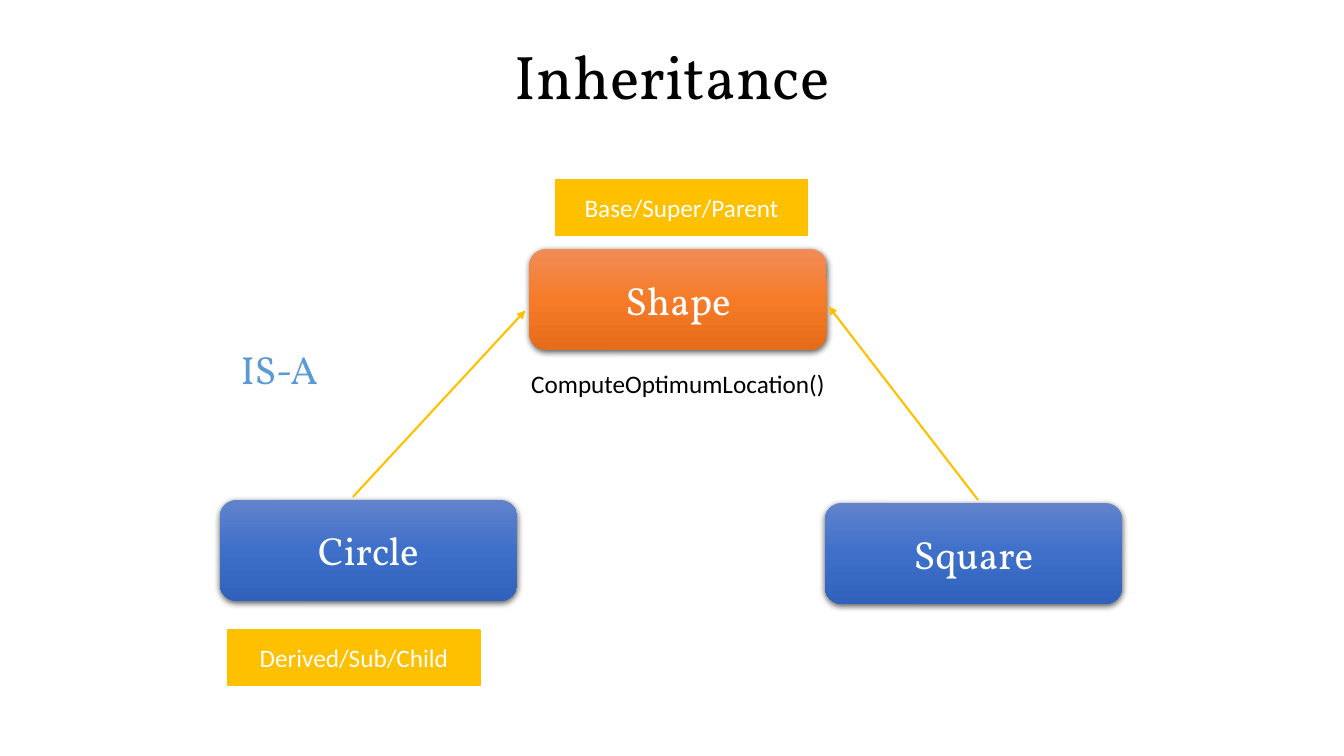
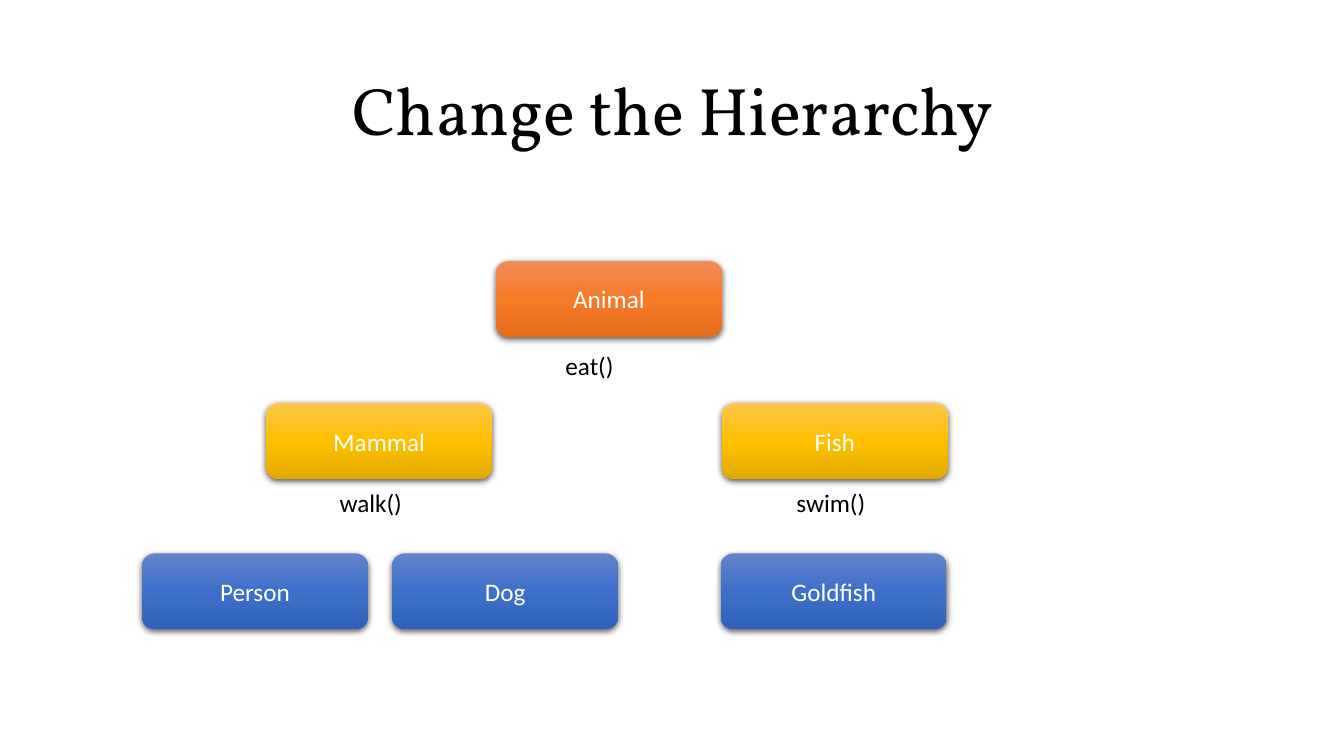
from copy import deepcopy

from pptx import Presentation
from pptx.dml.color import RGBColor
from pptx.enum.shapes import MSO_CONNECTOR, MSO_SHAPE
from pptx.enum.text import MSO_ANCHOR, MSO_AUTO_SIZE, PP_ALIGN
from pptx.oxml.ns import qn
from pptx.oxml.xmlchemy import OxmlElement
from pptx.util import Emu, Pt

PX = 9144
RECTANGLE = MSO_SHAPE.RECTANGLE
ROUNDED = MSO_SHAPE.ROUNDED_RECTANGLE
STRAIGHT = MSO_CONNECTOR.STRAIGHT
CENTER = PP_ALIGN.CENTER
MIDDLE = MSO_ANCHOR.MIDDLE
FIT_SHAPE = MSO_AUTO_SIZE.SHAPE_TO_FIT_TEXT

HEADING_FONT = "Vollkorn"
BODY_FONT = "Calibri"
COLORS = {"black": "000000", "white": "FFFFFF", "gold": "FFC000", "sky": "5B9BD5"}
GRADIENTS = {
    "orange": ("F18C57", "F67B28", "E56C19"),
    "gold": ("FFC64B", "FFC000", "E3AB00"),
    "blue": ("6183CB", "3E70CA", "3062BB"),
}


def px(*lengths):
    return [Emu(length * PX) for length in lengths]


def color(name):
    return RGBColor.from_string(COLORS[name])


def add_xml(parent, tag, **attributes):
    element = OxmlElement(tag)
    for name, value in attributes.items():
        element.set(name, str(value))
    parent.append(element)
    return element


def write(box, text, size, font, color_name, align=None):
    para = box.text_frame.paragraphs[0]
    if align is not None:
        para.alignment = align
    span = para.add_run()
    span.text = text
    span.font.size = Pt(size)
    span.font.name = font
    span.font.color.rgb = color(color_name)
    return para


def add_title(page, text, size, top):
    box = page.shapes.add_textbox(*px(92, top, 1150, 145))
    box.text_frame.word_wrap = True
    box.text_frame.vertical_anchor = MIDDLE
    write(box, text, size, HEADING_FONT, "black", CENTER).line_spacing = 0.9


def add_label(page, text, left, top, width, height=40, size=18, font=BODY_FONT, color_name="black"):
    box = page.shapes.add_textbox(*px(left, top, width, height))
    box.text_frame.word_wrap = True
    box.text_frame.auto_size = FIT_SHAPE
    write(box, text, size, font, color_name)


def add_box(page, preset, text, place, size, font):
    box = page.shapes.add_shape(preset, *px(*place))
    box.shadow.inherit = False
    box.text_frame.vertical_anchor = MIDDLE
    write(box, text, size, font, "white", CENTER)
    return box


def add_tag(page, text, left, top):
    box = add_box(page, RECTANGLE, text, (left, top, 250, 55), 18, BODY_FONT)
    box.fill.solid()
    box.fill.fore_color.rgb = color("gold")
    box.line.color.rgb = color("gold")
    box.line.width = Pt(1)


def add_class(page, text, gradient, place, size=18, font=BODY_FONT):
    box = add_box(page, ROUNDED, text, place, size, font)
    box.line.fill.background()
    box.fill.gradient()
    box.fill.gradient_angle = 270
    properties = box._element.spPr
    stop_list = properties.find(".//" + qn("a:gsLst"))
    stop_list.append(deepcopy(stop_list[-1]))
    for index, (stop, shade) in enumerate(zip(box.fill.gradient_stops, GRADIENTS[gradient])):
        stop.position = index / 2
        stop.color.rgb = RGBColor.from_string(shade)
    shadow = add_xml(properties.find(qn("a:effectLst")), "a:outerShdw", blurRad=Pt(4.5),
                     dist=Pt(1.5), dir=5400000, algn="ctr", rotWithShape=0)
    shade = add_xml(shadow, "a:srgbClr", val=COLORS["black"])
    add_xml(shade, "a:alpha", val=63000)


def add_arrow(page, *ends):
    arrow = page.shapes.add_connector(STRAIGHT, *px(*ends))
    arrow.line.color.rgb = color("gold")
    arrow.line.width = Pt(1.5)
    add_xml(arrow.line._get_or_add_ln(), "a:tailEnd", type="triangle")
    add_xml(arrow._element.spPr, "a:effectLst")


def build_inheritance(page):
    add_title(page, "Inheritance", 44, 6)
    for text, gradient, left, top in (
        ("Shape", "orange", 525, 247),
        ("Circle", "blue", 218, 496),
        ("Square", "blue", 818, 499),
    ):
        add_class(page, text, gradient, (left, top, 295, 100), 28, HEADING_FONT)
    add_arrow(page, 350, 493, 521, 308)
    add_arrow(page, 970, 496, 822, 304)
    add_label(page, "ComputeOptimumLocation()", 517, 360, 319)
    add_tag(page, "Base/Super/Parent", 551, 178)
    add_tag(page, "Derived/Sub/Child", 226, 625)
    add_label(page, "IS-A", 229, 338, 117, 57, 28, HEADING_FONT, "sky")


def build_hierarchy(page):
    add_title(page, "Change the Hierarchy", 48, 40)
    levels = (
        ("orange", 259, (("Animal", 492),)),
        ("gold", 400, (("Mammal", 264), ("Fish", 716))),
        ("blue", 549, (("Person", 141), ("Dog", 389), ("Goldfish", 715))),
    )
    for gradient, top, classes in levels:
        for text, left in classes:
            add_class(page, text, gradient, (left, top, 224, 75))
    add_label(page, "eat()", 551, 343, 123)
    add_label(page, "walk()", 327, 479, 133)
    add_label(page, "swim()", 780, 479, 300)


def main():
    deck = Presentation()
    deck.slide_width, deck.slide_height = px(1333, 750)
    for build in (build_inheritance, build_hierarchy):
        build(deck.slides.add_slide(deck.slide_layouts[6]))
    deck.save("out.pptx")


if __name__ == "__main__":
    main()
